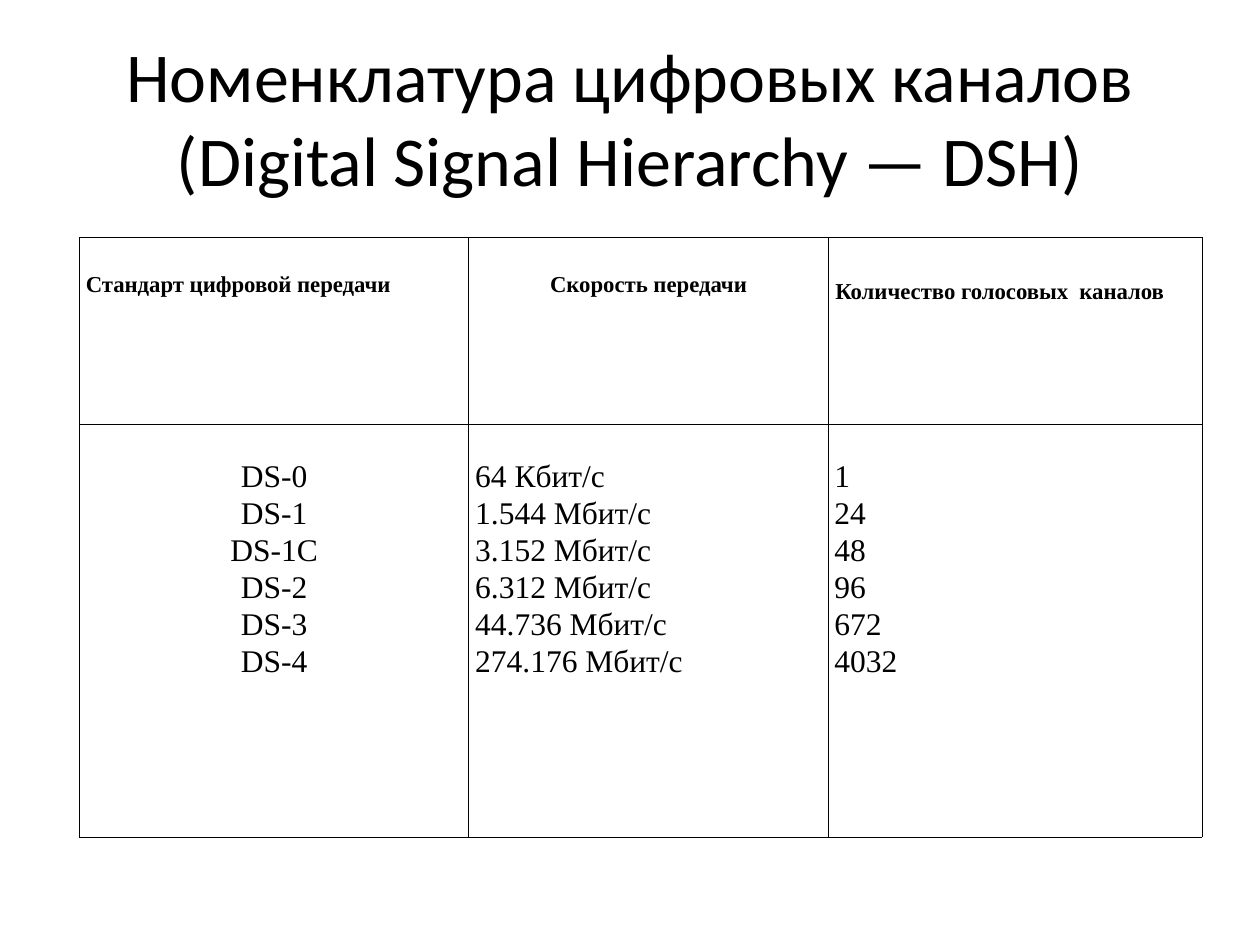
from lxml.etree import SubElement
from pptx import Presentation
from pptx.dml.color import RGBColor
from pptx.enum.text import MSO_ANCHOR as Anchor, PP_ALIGN as Align
from pptx.oxml.ns import qn
from pptx.util import Cm, Pt

COLORS = {"text": "000000", "border": "000000"}
BORDER_WIDTH = Pt(0.45)
CELL_INSET = 0.13

# Paragraph looks: size, bold, alignment, line spacing, space before, left and top inset
HEADER = {"size": 13, "bold": True, "align": Align.LEFT, "line": 15.1,
          "before": 0.7, "left": CELL_INSET, "top": 0.69}
HEADER_CENTERED = HEADER | {"align": Align.CENTER}
HEADER_LOWER = HEADER | {"line": 10.1, "left": 0.15, "top": 0.99}
BODY = {"size": 18, "bold": False, "align": Align.LEFT, "line": 15.1,
        "before": 6, "left": CELL_INSET, "top": 0.87}
BODY_CENTERED = BODY | {"align": Align.CENTER}

COLUMN_WIDTHS = [7.85, 7.24, 7.54]
ROW_HEIGHTS = [3.78, 8.31]
TABLE_ROWS = [
    [
        (["Стандарт цифровой передачи"], HEADER),
        (["Скорость передачи"], HEADER_CENTERED),
        (["Количество голосовых  каналов"], HEADER_LOWER),
    ],
    [
        (["DS-0", "DS-1", "DS-1C", "DS-2", "DS-3", "DS-4"], BODY_CENTERED),
        (["64 Кбит/с", "1.544 Мбит/с", "3.152 Мбит/с", "6.312 Мбит/с",
          "44.736 Мбит/с", "274.176 Мбит/с"], BODY),
        (["1", "24", "48", "96", "672", "4032"], BODY),
    ],
]


def set_font(paragraph, name, size, bold=False):
    font = paragraph.font
    font.name, font.size, font.bold = name, Pt(size), bold
    font.color.rgb = RGBColor.from_string(COLORS["text"])


def add_title(slide, left, top, width, height):
    box = slide.shapes.add_textbox(Cm(left), Cm(top), Cm(width), Cm(height))
    frame = box.text_frame
    frame.word_wrap = True
    frame.vertical_anchor = Anchor.MIDDLE
    paragraph = frame.paragraphs[0]
    paragraph.text = "Номенклатура цифровых каналов (Digital Signal Hierarchy — DSH)"
    paragraph.alignment = Align.CENTER
    set_font(paragraph, "Calibri", 40)


def add_borders(cell):
    properties = cell._tc.get_or_add_tcPr()
    for side in ("a:lnL", "a:lnR", "a:lnT", "a:lnB"):
        line = SubElement(properties, qn(side), w=str(BORDER_WIDTH))
        fill = SubElement(line, qn("a:solidFill"))
        SubElement(fill, qn("a:srgbClr"), val=COLORS["border"])


def fill_cell(cell, lines, look):
    add_borders(cell)
    cell.fill.background()
    cell.margin_left, cell.margin_top = Cm(look["left"]), Cm(look["top"])
    cell.margin_right = cell.margin_bottom = Cm(CELL_INSET)
    frame = cell.text_frame
    for index, text in enumerate(lines):
        paragraph = frame.add_paragraph() if index else frame.paragraphs[0]
        paragraph.text = text
        paragraph.alignment = look["align"]
        paragraph.line_spacing = Pt(look["line"])
        if index:
            paragraph.space_before = Pt(look["before"])
        set_font(paragraph, "Times New Roman", look["size"], look["bold"])


def add_channel_table(slide, left, top):
    frame = slide.shapes.add_table(
        len(ROW_HEIGHTS), len(COLUMN_WIDTHS), Cm(left), Cm(top),
        Cm(sum(COLUMN_WIDTHS)), Cm(sum(ROW_HEIGHTS)))
    table = frame.table
    table.first_row = table.horz_banding = False
    for column, width in zip(table.columns, COLUMN_WIDTHS):
        column.width = Cm(width)
    for row, height, contents in zip(table.rows, ROW_HEIGHTS, TABLE_ROWS):
        row.height = Cm(height)
        for cell, (lines, look) in zip(row.cells, contents):
            fill_cell(cell, lines, look)


def main():
    presentation = Presentation()
    presentation.slide_width, presentation.slide_height = Cm(25.4), Cm(19.05)
    slide = presentation.slides.add_slide(presentation.slide_layouts[6])
    add_title(slide, 1.27, 0.76, 22.86, 3.18)
    add_channel_table(slide, 1.6, 4.78)
    presentation.save("out.pptx")


if __name__ == "__main__":
    main()
